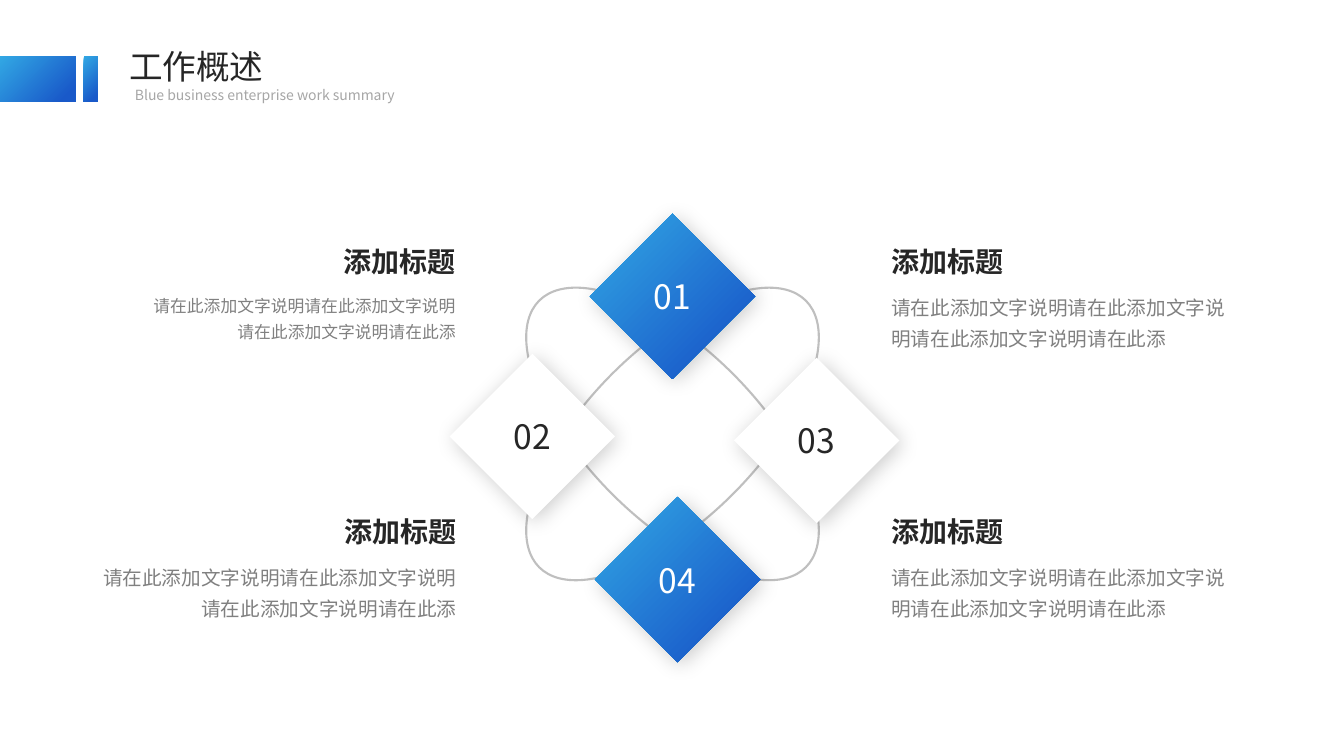
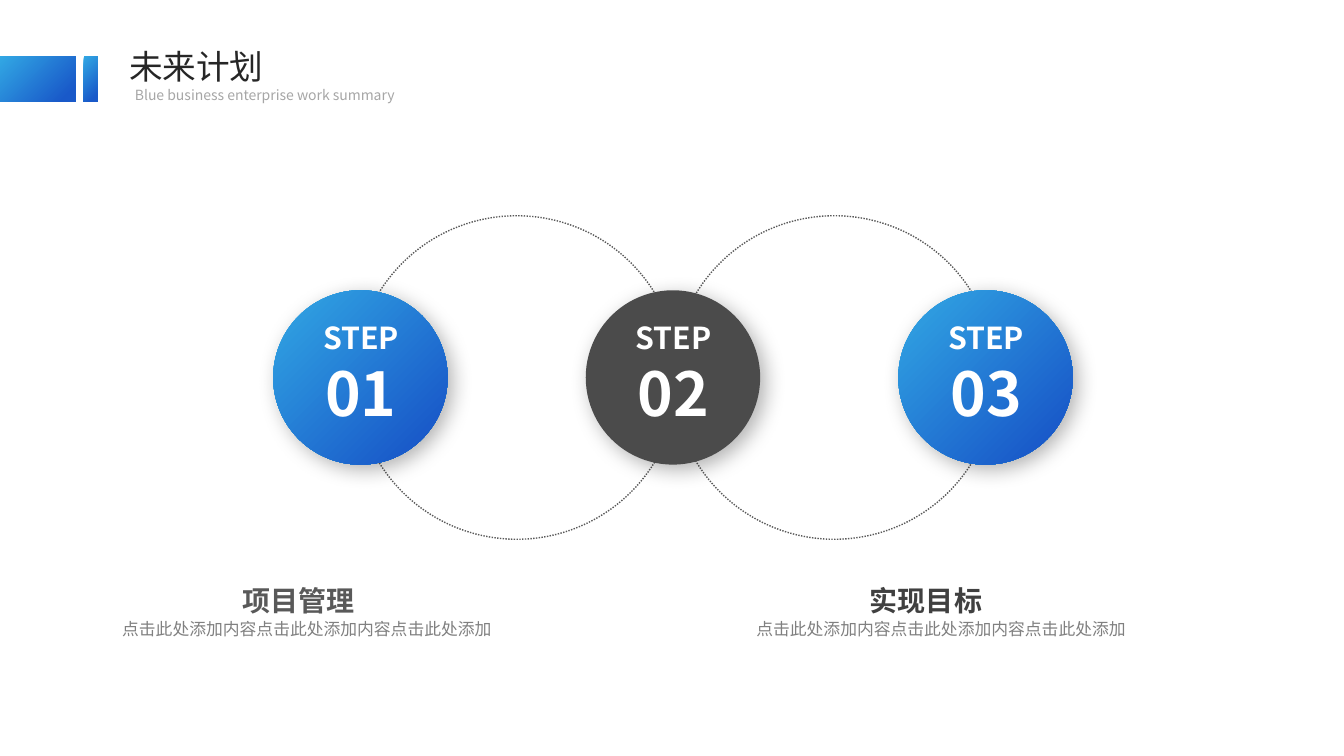
"""Build two slides: a work overview diagram and a three-step plan."""
from lxml import etree
from pptx import Presentation
from pptx import util as u
from pptx.dml import color
from pptx.enum import dml, shapes, text
from pptx.oxml import ns

FONT = "Noto Sans CJK SC"
INK = {
    "sky": "32A8E4", "blue": "1959C9", "white": "FFFFFF", "black": "000000",
    "dark": "262626", "coal": "404040", "slate": "4B4B4B", "iron": "595959",
    "gray": "808080", "ash": "A6A6A6", "rule": "BFBFBF",
}
KIND = shapes.MSO_SHAPE
LEFT, MID, RIGHT = text.PP_ALIGN.LEFT, text.PP_ALIGN.CENTER, text.PP_ALIGN.RIGHT


def rgb(name):
    """Return the named colour."""
    return color.RGBColor.from_string(INK[name])


def apply(item, values):
    """Set each attribute of the item from a dict."""
    for key, value in values.items():
        setattr(item, key, value)


class Deck:
    """Hold the style and the current slide."""

    def __init__(self):
        """Start an empty wide presentation."""
        self.prs = Presentation()
        apply(self.prs, {"slide_width": u.Inches(13.33), "slide_height": u.Inches(7.5)})
        self.slide = None

    def page(self, title):
        """Add a slide with its bands, title and subtitle."""
        self.slide = self.prs.slides.add_slide(self.prs.slide_layouts[5])
        for left, width in ((0, 0.75), (0.83, 0.14)):
            self.shape(KIND.RECTANGLE, (left, 0.56, width, 0.45), "grad", stop=0.88)
        head = self.slide.shapes.title
        spots = map(u.Inches, (1.18, 0.41, 1.55, 0.5))
        apply(head, dict(zip(("left", "top", "width", "height"), spots)))
        self.words(head, [(title, 24)], "dark", wrap=False)
        self.label((1.24, 0.81, 2.77, 0.27),
                   [("Blue business enterprise work summary", 10)], "ash", wrap=False)

    def words(self, shape, lines, ink, bold=False, align=LEFT, space=1.0,
              wrap=True, anchor=text.MSO_ANCHOR.TOP):
        """Fill a shape with (words, size) lines."""
        frame = shape.text_frame
        apply(frame, {"word_wrap": wrap, "vertical_anchor": anchor,
                      "auto_size": text.MSO_AUTO_SIZE.NONE})
        for index, (line, size) in enumerate(lines):
            para = frame.add_paragraph() if index else frame.paragraphs[0]
            apply(para, {"alignment": align, "line_spacing": space})
            run = para.add_run()
            run.text = line
            apply(run.font, {"size": u.Pt(size), "bold": bold, "name": FONT})
            run.font.color.rgb = rgb(ink)
            etree.SubElement(run._r.get_or_add_rPr(), ns.qn("a:ea"), typeface=FONT)

    def label(self, box, lines, ink, **style):
        """Add a text box."""
        item = self.slide.shapes.add_textbox(*map(u.Inches, box))
        self.words(item, lines, ink, **style)

    def shape(self, kind, box, fill, stop=0.87, shade=None):
        """Add a filled shape, with a soft shadow if asked."""
        item = self.slide.shapes.add_shape(kind, *map(u.Inches, box))
        item.shadow.inherit = False
        item.line.fill.background()
        if fill == "grad":
            item.fill.gradient()
            item.fill.gradient_angle = 315
            for mark, (ink, place) in zip(item.fill.gradient_stops,
                                          (("sky", 0), ("blue", stop))):
                mark.color.rgb = rgb(ink)
                mark.position = place
        else:
            item.fill.solid()
            item.fill.fore_color.rgb = rgb(fill)
        if shade:
            self.shade(item, *shade)
        return item

    def shade(self, item, alpha, blur, far):
        """Give the shape an outer shadow to the lower right."""
        effect = item._element.spPr.find(ns.qn("a:effectLst"))
        outer = etree.SubElement(
            effect, ns.qn("a:outerShdw"), blurRad=str(u.Pt(blur)), dist=str(u.Pt(far)),
            dir="2700000", algn="tl", rotWithShape="0")
        tint = etree.SubElement(outer, ns.qn("a:srgbClr"), val=INK["black"])
        etree.SubElement(tint, ns.qn("a:alpha"), val=str(alpha * 1000))

    def ring(self, box, ink, width, turn=0, dash=None):
        """Add an outlined ellipse."""
        item = self.slide.shapes.add_shape(KIND.OVAL, *map(u.Inches, box))
        item.shadow.inherit = False
        item.fill.background()
        item.rotation = turn
        item.line.color.rgb = rgb(ink)
        apply(item.line, {"width": u.Pt(width), "dash_style": dash})

    def gem(self, left, top, mark, fill, ink):
        """Add a numbered diamond."""
        item = self.shape(KIND.FLOWCHART_DECISION, (left, top, 1.64, 1.64),
                          fill, shade=(20, 15, 3))
        self.words(item, [(mark, 24)], ink, align=MID, anchor=text.MSO_ANCHOR.MIDDLE)

    def note(self, left, top, width, lines, align):
        """Add a heading with its description."""
        self.label((left, top, width, 0.44), [("添加标题", 20)], "dark",
                   bold=True, align=align)
        self.label((left, top + 0.44, width, 0.68), lines, "gray",
                   align=align, space=1.3)

    def step(self, left, mark, fill):
        """Add a step disc with its number."""
        self.shape(KIND.OVAL, (left, 2.88, 1.73, 1.73), fill, shade=(30, 15, 5))
        self.label((left + 0.38, 3.12, 0.98, 1.19), [("STEP", 21.6), (mark, 43.2)],
                   "white", bold=True, align=MID, wrap=False)


def survey(deck):
    """Draw the overview slide."""
    deck.page("工作概述")
    for turn in (45, 135):
        deck.ring((4.8, 3.46, 3.74, 1.69), "rule", 1.5, turn)
    for left, top, mark, fill, ink in (
            (5.85, 2.12, "01", "grad", "white"), (7.28, 3.55, "03", "white", "dark"),
            (5.9, 4.93, "04", "grad", "white"), (4.46, 3.51, "02", "white", "dark")):
        deck.gem(left, top, mark, fill, ink)
    half = "请在此添加文字说明请在此添加文字说明"
    rest = "请在此添加文字说明请在此添"
    full = [(half + rest, 14)]
    for left, top, width, lines, align in (
            (8.74, 2.38, 3.69, full, LEFT), (8.74, 5.06, 3.69, full, LEFT),
            (1.25, 2.38, 3.37, [(half, 12), (rest, 12)], RIGHT),
            (0.74, 5.06, 3.89, full, RIGHT)):
        deck.note(left, top, width, lines, align)


def plan(deck):
    """Draw the plan slide."""
    deck.page("未来计划")
    for left in (3.52, 6.67):
        deck.ring((left, 2.14, 3.21, 3.21), "iron", 1,
                  dash=dml.MSO_LINE.ROUND_DOT)
    for index, fill in enumerate(("grad", "slate", "grad")):
        deck.step(2.71 + 3.1 * index, f"0{index + 1}", fill)
    for left, name, ink, base in ((2.31, "项目管理", "iron", 0.02),
                                  (8.53, "实现目标", "coal", 6.31)):
        deck.label((left, 5.57, 2.44, 0.54), [(name, 20)], ink, bold=True, space=1.5)
        deck.label((base, 6.01, 6.05, 0.38), [("点击此处添加内容" * 2 + "点击此处添加", 12)],
                   "gray", align=MID, space=u.Pt(20))


def main():
    """Build and save the deck."""
    deck = Deck()
    survey(deck)
    plan(deck)
    deck.prs.save("out.pptx")


if __name__ == "__main__":
    main()
